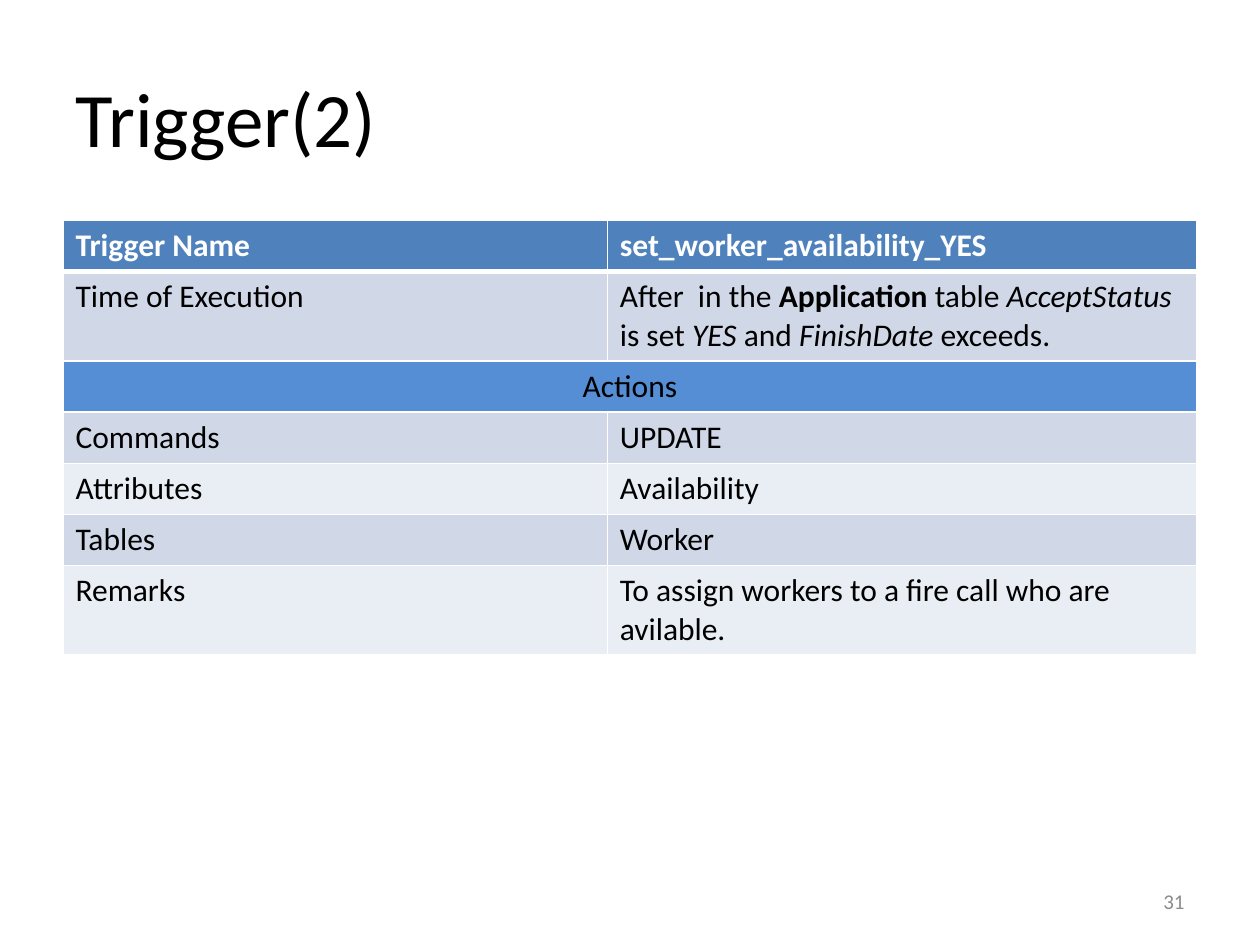
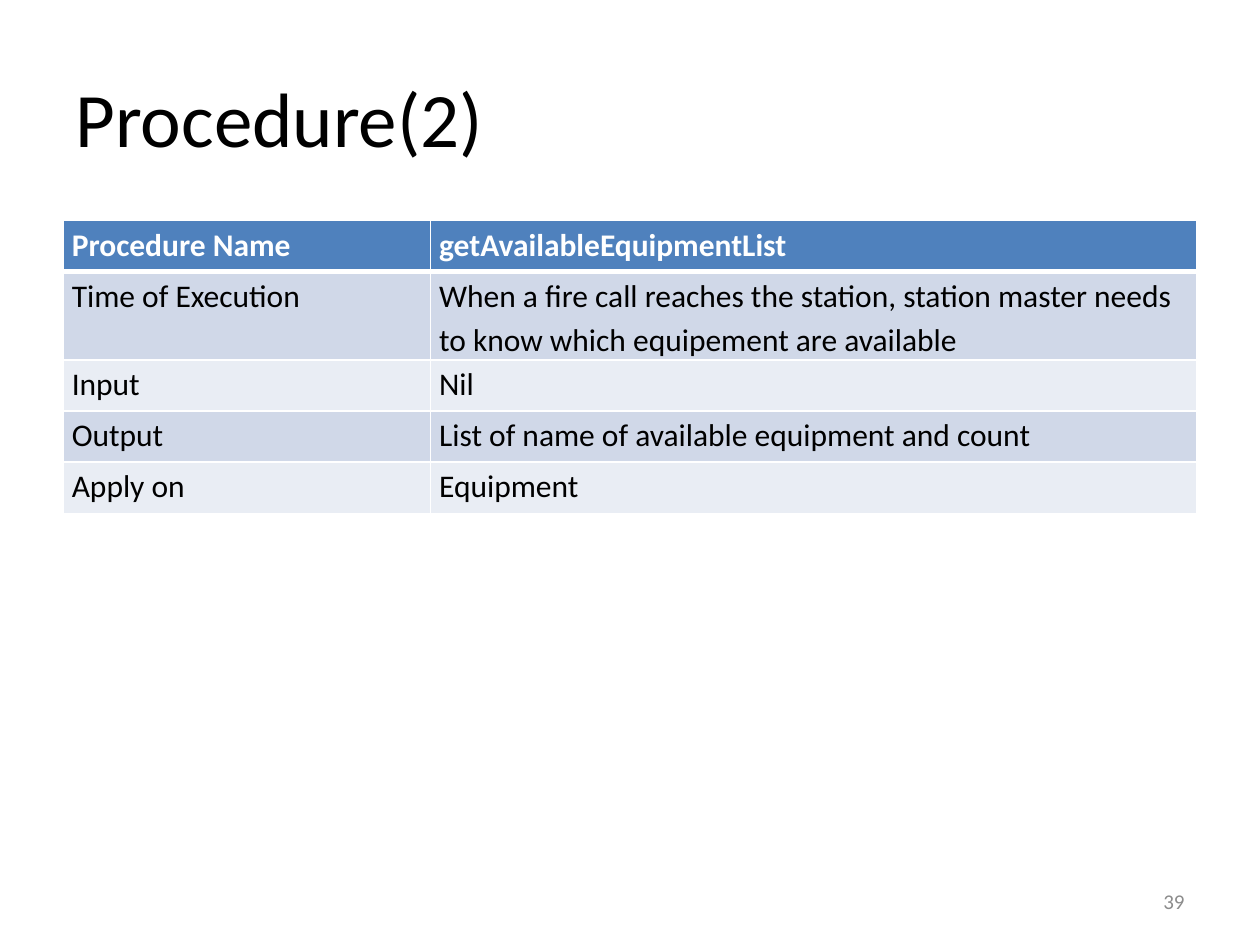
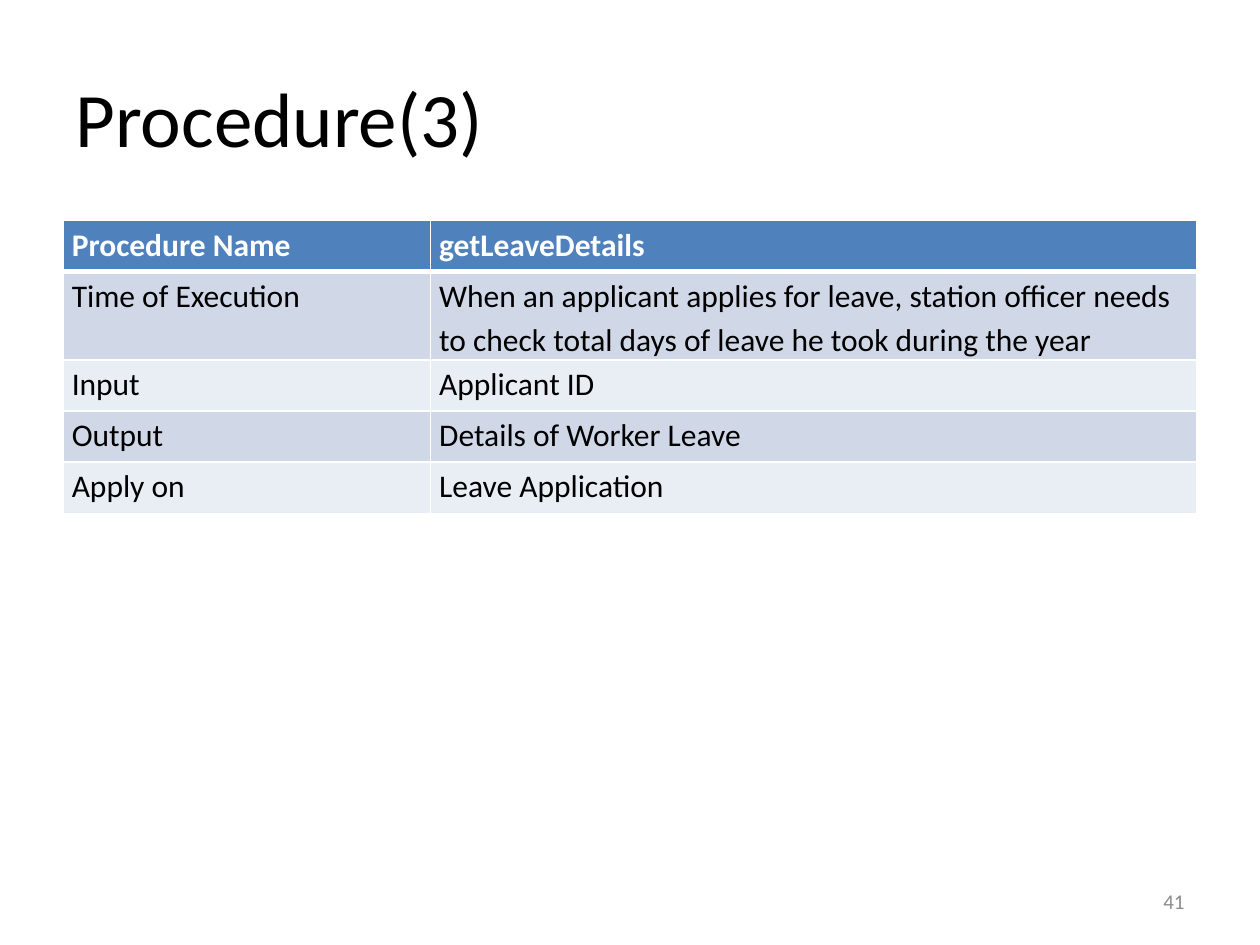
from lxml import etree
from pptx import Presentation
from pptx.dml.color import RGBColor
from pptx.enum.text import MSO_ANCHOR, PP_ALIGN
from pptx.oxml.ns import qn
from pptx.util import Inches, Pt

LEFT, CENTER, RIGHT = PP_ALIGN.LEFT, PP_ALIGN.CENTER, PP_ALIGN.RIGHT
MIDDLE = MSO_ANCHOR.MIDDLE

COLORS = {
    "header": "4F81BD",
    "section": "558ED5",
    "band_dark": "D0D8E8",
    "band_light": "E9EDF4",
    "border": "FFFFFF",
    "header_text": "FFFFFF",
    "text": "000000",
    "number": "8C8C8C",
}
FONT = "Calibri"
WIDTH, HEIGHT = Inches(10), Inches(7.5)
MARGIN = 0.05 * WIDTH
CONTENT_WIDTH = WIDTH - 2 * MARGIN
TABLE_TOP = Inches(1.75)
ROW_HEIGHT, TALL_ROW_HEIGHT = Pt(29.2), Pt(50.4)
SIDE_INSET = Inches(0.07)

TRIGGER_TIME = [
    ("After  in the ", ""), ("Application ", "bold"), ("table ", ""),
    ("AcceptStatus ", "italic"), ("is set ", ""), ("YES ", "italic"),
    ("and ", ""), ("FinishDate", "italic"), (" exceeds.", ""),
]
SLIDES = [
    {
        "title": "Trigger(2)", "number": "31", "first_column": 0.48, "compact": False,
        "tall_rows": (1, 6),
        "rows": [
            ("Trigger Name", "set_worker_availability_YES"),
            ("Time of Execution", TRIGGER_TIME),
            ("Actions",),
            ("Commands", "UPDATE"),
            ("Attributes", "Availability"),
            ("Tables", "Worker"),
            ("Remarks", "To assign workers to a fire call who are avilable."),
        ],
    },
    {
        "title": "Procedure(2)", "number": "39", "first_column": 0.324, "compact": True,
        "tall_rows": (1,),
        "rows": [
            ("Procedure Name", "getAvailableEquipmentList"),
            ("Time of Execution", "When a fire call reaches the station, station master needs "
                                  "to know which equipement are available"),
            ("Input", "Nil"),
            ("Output", "List of name of available equipment and count"),
            ("Apply on", "Equipment"),
        ],
    },
    {
        "title": "Procedure(3)", "number": "41", "first_column": 0.324, "compact": True,
        "tall_rows": (1,),
        "rows": [
            ("Procedure Name", "getLeaveDetails"),
            ("Time of Execution", "When an applicant applies for leave, station officer needs "
                                  "to check total days of leave he took during the year"),
            ("Input", "Applicant ID"),
            ("Output", "Details of Worker Leave"),
            ("Apply on", "Leave Application"),
        ],
    },
]


def write(frame, text, size=18, color="text", bold=False, align=LEFT, spacing=None):
    """Fill a text frame with a string or a list of (text, emphasis) spans."""
    para = frame.paragraphs[0]
    para.alignment = align
    if spacing:
        para.line_spacing = spacing
    for words, emphasis in [(text, "")] if isinstance(text, str) else text:
        span = para.add_run()
        span.text = words
        span.font.name = FONT
        span.font.size = Pt(size)
        span.font.bold = bold or emphasis == "bold"
        span.font.italic = emphasis == "italic"
        span.font.color.rgb = RGBColor.from_string(COLORS[color])


def style_cell(cell, fill, top=1, bottom=1):
    """Set the cell's fill and its borders, with widths in points."""
    properties = cell._tc.get_or_add_tcPr()
    for side, width in (("L", 1), ("R", 1), ("T", top), ("B", bottom)):
        line = etree.SubElement(properties, qn(f"a:ln{side}"), w=str(Pt(width)))
        solid = etree.SubElement(line, qn("a:solidFill"))
        etree.SubElement(solid, qn("a:srgbClr"), val=COLORS["border"])
    cell.fill.solid()
    cell.fill.fore_color.rgb = RGBColor.from_string(COLORS[fill])


deck = Presentation()
deck.slide_width, deck.slide_height = WIDTH, HEIGHT
title_only = deck.slide_layouts[5]

for content in SLIDES:
    slide = deck.slides.add_slide(title_only)
    title = slide.shapes.title
    title.left, title.top = int(MARGIN), int(0.04 * HEIGHT)
    title.width, title.height = int(CONTENT_WIDTH), Inches(1.25)
    title.text_frame.vertical_anchor = MIDDLE
    write(title.text_frame, content["title"], size=44)

    rows = content["rows"]
    heights = [TALL_ROW_HEIGHT if index in content["tall_rows"] else ROW_HEIGHT
               for index in range(len(rows))]
    table = slide.shapes.add_table(len(rows), 2, int(MARGIN), TABLE_TOP,
                                   int(CONTENT_WIDTH), sum(heights)).table
    first_width = int(content["first_column"] * CONTENT_WIDTH)
    table.columns[0].width = first_width
    table.columns[1].width = int(CONTENT_WIDTH) - first_width

    for index, texts in enumerate(rows):
        table.rows[index].height = heights[index]
        is_header, is_section = index == 0, len(texts) == 1
        if is_header:
            fill = "header"
        elif is_section:
            fill = "section"
            table.cell(index, 0).merge(table.cell(index, 1))
        else:
            fill = "band_dark" if index % 2 else "band_light"
        for column in range(2):
            cell = table.cell(index, column)
            style_cell(cell, fill, top=3 if index == 1 else 1, bottom=3 if is_header else 1)
            if content["compact"]:
                cell.margin_left = cell.margin_right = SIDE_INSET
                cell.margin_top = cell.margin_bottom = 0
            if column < len(texts):
                write(cell.text_frame, texts[column], bold=is_header,
                      color="header_text" if is_header else "text",
                      align=CENTER if is_section else LEFT,
                      spacing=1.15 if content["compact"] else None)

    number_width = Inches(2.33)
    number_box = slide.shapes.add_textbox(int(WIDTH - MARGIN - number_width), Inches(6.95),
                                          number_width, Inches(0.4))
    number_box.text_frame.word_wrap = True
    number_box.text_frame.vertical_anchor = MIDDLE
    write(number_box.text_frame, content["number"], size=12, color="number", align=RIGHT)

deck.save("out.pptx")
